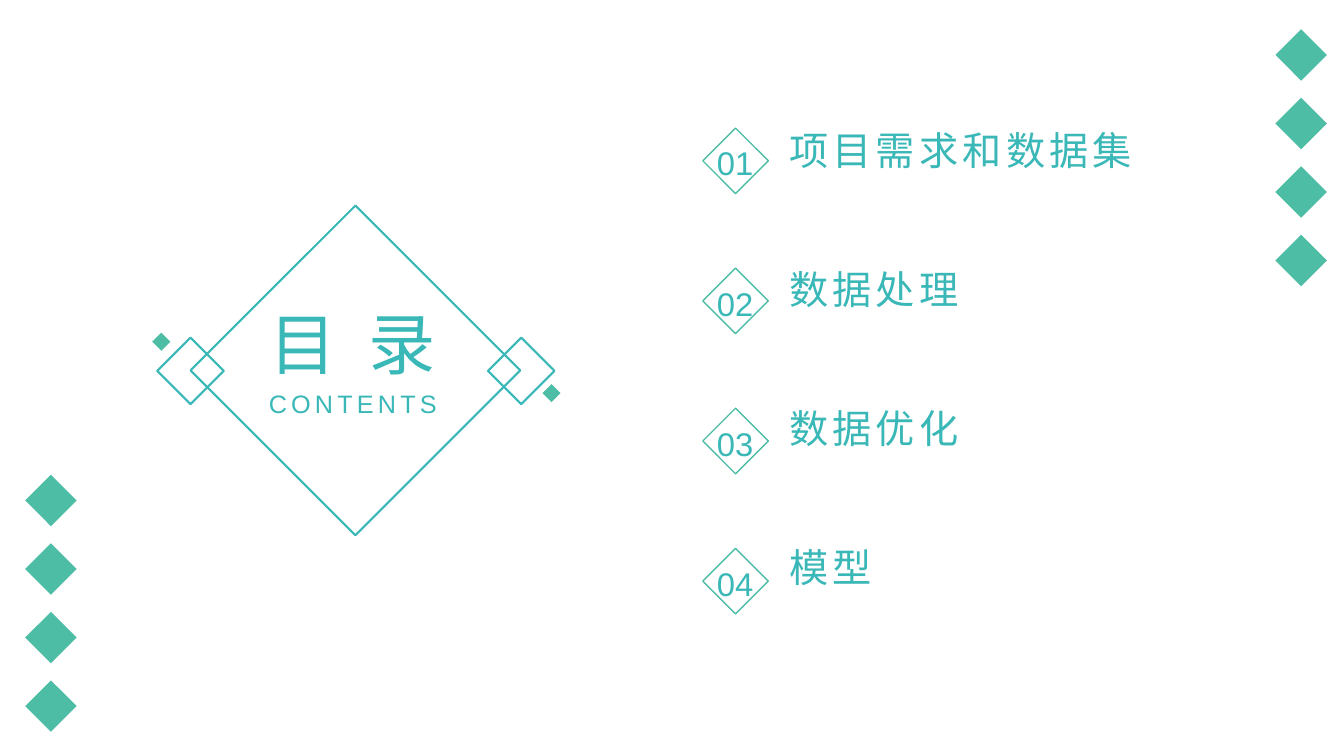
from dataclasses import dataclass

from pptx import Presentation
from pptx.dml.color import RGBColor
from pptx.enum import shapes, text
from pptx.util import Inches, Pt


@dataclass(frozen=True)
class Theme:
    font: str = "Arial"
    teal: RGBColor = RGBColor(0x3A, 0xB7, 0xB7)
    green: RGBColor = RGBColor(0x4E, 0xBD, 0xA5)
    heading: float = 48
    subheading: float = 18
    entry: float = 28
    number: float = 23.4


theme = Theme()
deck = Presentation()
deck.slide_width, deck.slide_height = Inches(13.33), Inches(7.5)
slide = deck.slides.add_slide(deck.slide_layouts[6])


def add_diamond(left, top, size, fill=None, line=None, weight=1.5):
    diamond = slide.shapes.add_shape(
        shapes.MSO_SHAPE.DIAMOND, Inches(left), Inches(top), Inches(size), Inches(size))
    diamond.shadow.inherit = False
    if fill is None:
        diamond.fill.background()
        diamond.line.color.rgb = line
        diamond.line.width = Pt(weight)
    else:
        diamond.fill.solid()
        diamond.fill.fore_color.rgb = fill
        diamond.line.fill.background()


def add_label(words, left, top, width, height, size, spacing=0,
              align=text.PP_ALIGN.CENTER, anchor=text.MSO_ANCHOR.TOP):
    frame = slide.shapes.add_textbox(
        Inches(left), Inches(top), Inches(width), Inches(height)).text_frame
    frame.word_wrap = True
    frame.vertical_anchor = anchor
    frame.text = words
    paragraph = frame.paragraphs[0]
    paragraph.alignment = align
    run = paragraph.runs[0]
    run.font.name = theme.font
    run.font.size = Pt(size)
    run.font.color.rgb = theme.teal
    run._r.get_or_add_rPr().set("spc", str(spacing * 100))
    return frame


for left, top, size in [(1.89, 2.04, 3.27), (1.56, 3.35, 0.66), (4.84, 3.35, 0.66)]:
    add_diamond(left, top, size, line=theme.teal)
for left, top in [(1.51, 3.3), (5.38, 3.81)]:
    add_diamond(left, top, 0.18, fill=theme.green)

for left, first_top in [(0.25, 4.71), (12.65, 0.29)]:
    for step in range(4):
        add_diamond(left, first_top + step * 0.68, 0.51, fill=theme.green)

for index, topic in enumerate(["项目需求和数据集", "数据处理", "数据优化", "模型"]):
    entry = add_label(topic, 7.73, 1.15 + index * 1.38, 3.81, 0.57, theme.entry, 3,
                      text.PP_ALIGN.LEFT, text.MSO_ANCHOR.BOTTOM)
    entry.margin_bottom = 0
    number_top = 1.26 + index * 1.39
    add_label(f"{index + 1:02d}", 6.84, number_top, 0.9, 0.71, theme.number,
              anchor=text.MSO_ANCHOR.MIDDLE)
    add_diamond(6.97, number_top + 0.01, 0.65, line=theme.green, weight=1)

add_label("目 录", 2.33, 2.95, 2.34, 0.92, theme.heading, 6)
contents = add_label("CONTENTS", 2.51, 3.65, 1.98, 0.5, theme.subheading, 3)
contents.paragraphs[0].line_spacing = 1.5

deck.save("out.pptx")
